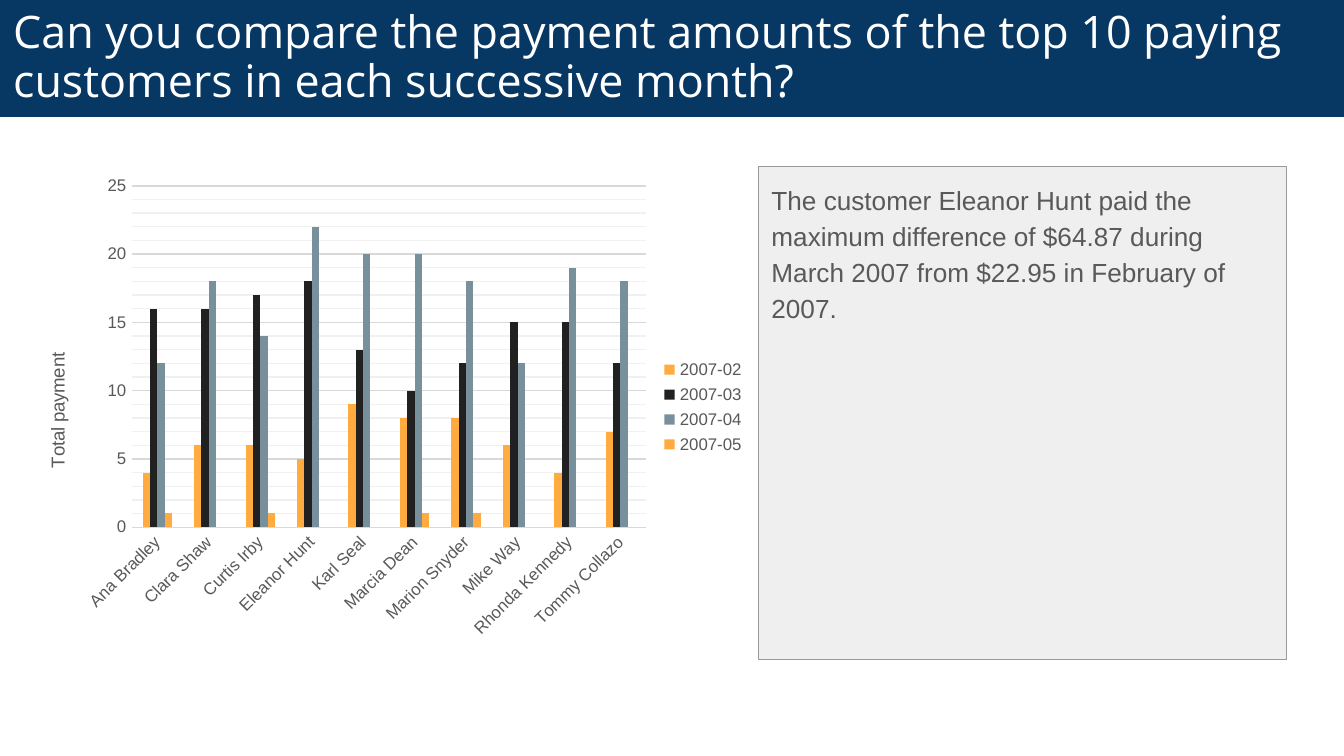
from pptx import Presentation
from pptx.chart.data import CategoryChartData as Data
from pptx.dml.color import RGBColor as RGB
from pptx.enum.chart import XL_CHART_TYPE as Kind, XL_LEGEND_POSITION as Side, XL_TICK_MARK as Tick
from pptx.enum.shapes import MSO_SHAPE as Form
from pptx.enum.text import MSO_ANCHOR as Anchor, PP_ALIGN as Align
from pptx.oxml import parse_xml
from pptx.util import Cm, Pt

NAVY = RGB(0x07, 0x37, 0x63)
WHITE = RGB(0xFF, 0xFF, 0xFF)
PALE = RGB(0xEF, 0xEF, 0xEF)
EDGE = RGB(0x99, 0x99, 0x99)
TEXT = RGB(0x59, 0x59, 0x59)
GRID = RGB(0xD9, 0xD9, 0xD9)
FAINT = RGB(0xF0, 0xF0, 0xF0)
AMBER = RGB(0xFF, 0xAB, 0x40)
BLACK = RGB(0x21, 0x21, 0x21)
SLATE = RGB(0x78, 0x90, 0x9C)

NS = "http://schemas.openxmlformats.org/drawingml/2006/chart"
DRAW = "http://schemas.openxmlformats.org/drawingml/2006/main"
NAMES = ["Ana Bradley", "Clara Shaw", "Curtis Irby", "Eleanor Hunt", "Karl Seal",
         "Marcia Dean", "Marion Snyder", "Mike Way", "Rhonda Kennedy", "Tommy Collazo"]
MONTHS = [
    ("2007-02", AMBER, [4, 6, 6, 5, 9, 8, 8, 6, 4, 7]),
    ("2007-03", BLACK, [16, 16, 17, 18, 13, 10, 12, 15, 15, 12]),
    ("2007-04", SLATE, [12, 18, 14, 22, 20, 20, 18, 12, 19, 18]),
    ("2007-05", AMBER, [1, None, 1, None, None, 1, 1, None, None, None]),
]


def style(font, face, size, color):
    font.name, font.size = face, Pt(size)
    font.color.rgb = color


def panel(slide, box, fill, edge, words, face, size, color, anchor, gap):
    shape = slide.shapes.add_shape(Form.RECTANGLE, *box)
    shape.shadow.inherit = False
    shape.fill.solid()
    shape.fill.fore_color.rgb = fill
    if edge is None:
        shape.line.fill.background()
    else:
        shape.line.color.rgb = edge
        shape.line.width = Pt(0.75)
    frame = shape.text_frame
    frame.word_wrap = True
    frame.vertical_anchor = anchor
    frame.margin_left = frame.margin_right = Cm(0.25)
    frame.margin_top = frame.margin_bottom = Cm(0.25)
    frame.text = words
    para = frame.paragraphs[0]
    para.alignment = Align.LEFT
    para.line_spacing = gap
    style(para.runs[0].font, face, size, color)
    return para


def header(slide, box):
    panel(slide, box, NAVY, None,
          "Can you compare the payment amounts of the top 10 paying customers "
          "in each successive month?", "Open Sans", 24, WHITE, Anchor.MIDDLE, 0.9)


def note(slide, box):
    para = panel(slide, box, PALE, EDGE,
                 "The customer Eleanor Hunt paid the maximum difference of $64.87 during "
                 "March 2007 from $22.95 in February of 2007.",
                 "Arial", 14, TEXT, Anchor.TOP, 1.15)
    para.space_after = Pt(16)


def layout(x, y, size=None):
    parts = [("xMode", "edge"), ("yMode", "edge"), ("x", x), ("y", y)]
    if size:
        parts = [("layoutTarget", "inner")] + parts + list(zip("wh", size))
    body = "".join(f'<c:{tag} val="{val}"/>' for tag, val in parts)
    return parse_xml(f'<c:layout xmlns:c="{NS}"><c:manualLayout>{body}'
                     '</c:manualLayout></c:layout>')


def place(node, item, after=None):
    for old in node.findall(f"{{{NS}}}layout"):
        node.remove(old)
    if after is None:
        node.insert(0, item)
    else:
        after.addnext(item)


def minor(axis, color):
    axis.has_minor_gridlines = True
    lines = axis._element.find(f"{{{NS}}}minorGridlines")
    lines.append(parse_xml(
        f'<c:spPr xmlns:c="{NS}" xmlns:a="{DRAW}"><a:ln w="{Pt(0.75)}"><a:solidFill>'
        f'<a:srgbClr val="{color}"/></a:solidFill></a:ln></c:spPr>'))


def graph(slide, box):
    data = Data()
    data.categories = NAMES
    for name, color, vals in MONTHS:
        data.add_series(name, vals)
    chart = slide.shapes.add_chart(Kind.COLUMN_CLUSTERED, *box, data).chart
    style(chart.font, "Arial", 9, TEXT)
    chart.has_title = False
    chart.has_legend = True
    chart.legend.position = Side.RIGHT
    chart.legend.include_in_layout = False
    style(chart.legend.font, "Arial", 9, TEXT)

    plot = chart.plots[0]
    plot.gap_width, plot.overlap = 300, 0
    plot.vary_by_categories = False
    for bars, (name, color, vals) in zip(plot.series, MONTHS):
        bars.format.fill.solid()
        bars.format.fill.fore_color.rgb = color
        bars.invert_if_negative = False

    cat, val = chart.category_axis, chart.value_axis
    for axis in (cat, val):
        style(axis.tick_labels.font, "Arial", 9, TEXT)
        axis.major_tick_mark = axis.minor_tick_mark = Tick.NONE
    cat.format.line.color.rgb = GRID
    cat.format.line.width = Pt(0.75)
    cat._element.txPr.bodyPr.set("rot", "-2700000")
    val.format.line.fill.background()
    val.minimum_scale, val.maximum_scale = 0, 25
    val.major_unit, val.minor_unit = 5, 1
    val.has_major_gridlines = True
    val.major_gridlines.format.line.color.rgb = GRID
    val.major_gridlines.format.line.width = Pt(0.75)
    minor(val, FAINT)

    title = val.axis_title
    title.text_frame.text = "Total payment"
    run = title.text_frame.paragraphs[0].runs[0]
    style(run.font, "Arial", 10, TEXT)
    run.font.bold = False
    title.text_frame._txBody.bodyPr.set("rot", "-5400000")
    place(title._element, layout(0.04, 0.38), title._element.find(f"{{{NS}}}tx"))
    place(chart._chartSpace.chart.plotArea, layout(0.16, 0.04, (0.69, 0.71)))


deck = Presentation()
deck.slide_width, deck.slide_height = Cm(25.4), Cm(14.29)
page = deck.slides.add_slide(deck.slide_layouts[6])
note(page, (Cm(14.33), Cm(3.15), Cm(9.98), Cm(9.32)))
header(page, (Cm(0), Cm(0), Cm(25.4), Cm(2.21)))
graph(page, (Cm(0.23), Cm(3.15), Cm(14.1), Cm(9.09)))
deck.save("out.pptx")
